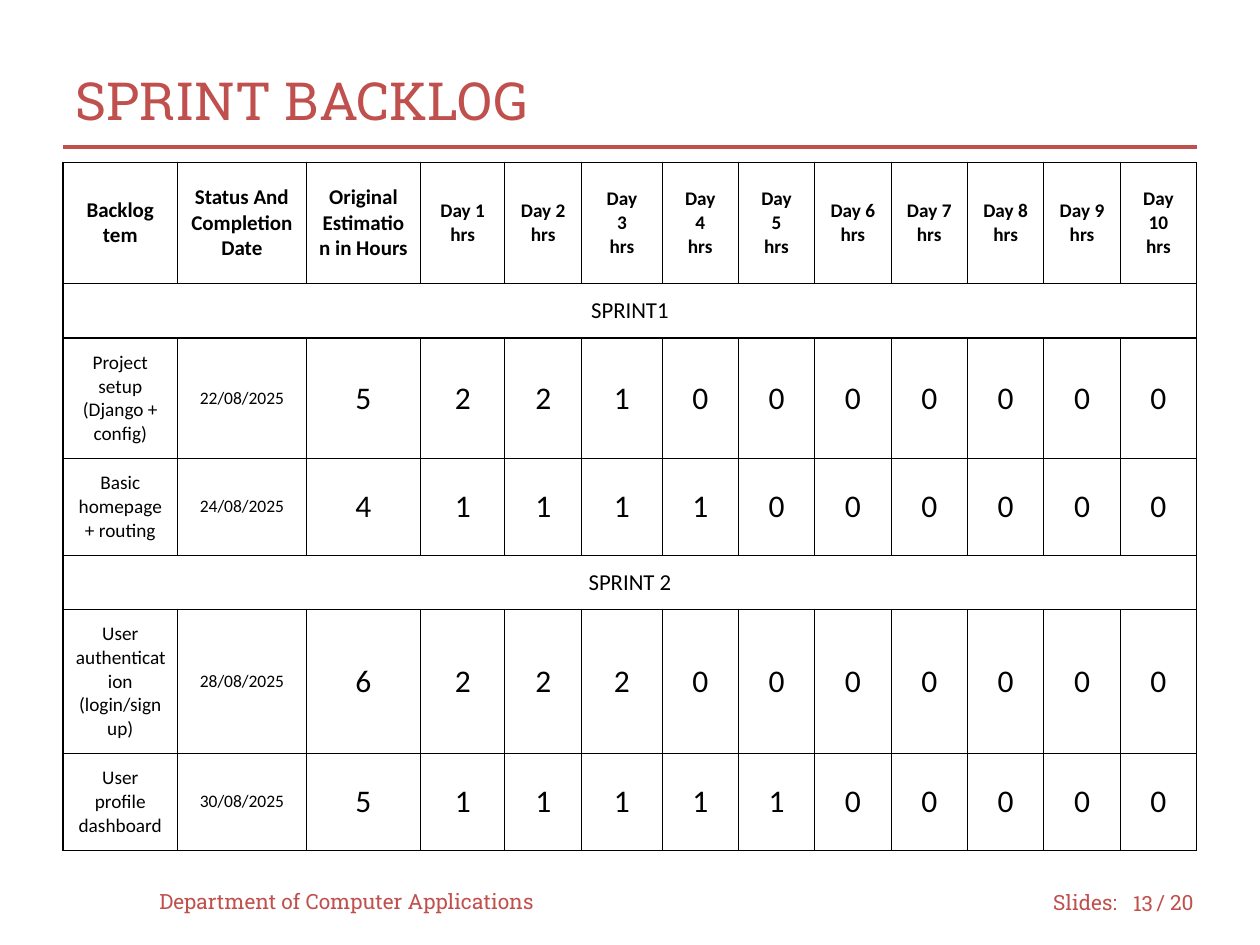
from dataclasses import dataclass

from lxml import etree
from pptx import Presentation
from pptx.dml.color import RGBColor
from pptx.enum.shapes import MSO_CONNECTOR
from pptx.enum.text import MSO_ANCHOR, MSO_AUTO_SIZE, PP_ALIGN
from pptx.oxml.ns import qn
from pptx.util import Pt

LEFT, CENTER, RIGHT = PP_ALIGN.LEFT, PP_ALIGN.CENTER, PP_ALIGN.RIGHT
MIDDLE = MSO_ANCHOR.MIDDLE
NO_AUTOFIT = MSO_AUTO_SIZE.NONE
STRAIGHT = MSO_CONNECTOR.STRAIGHT
TITLE_ONLY = 5


@dataclass(frozen=True)
class Theme:
    accent: str = "C0504D"
    ink: str = "000000"
    paper: str = "FFFFFF"
    display_font: str = "Roboto Slab"
    table_font: str = "Calibri"
    title_size: float = 30
    footer_size: float = 12
    heading_size: float = 12
    day_size: float = 11
    sprint_size: float = 13
    task_size: float = 11
    date_size: float = 10
    hours_size: float = 18
    rule_width: float = 1.75
    border_width: float = 0.75
    cell_margin: float = 7.2


class SlideBuilder:
    def __init__(self, slide, theme):
        self.slide = slide
        self.theme = theme

    def add_text(self, frame, text, size, font, color, align, bold=False):
        """Fill a text frame, one paragraph for each line of the text."""
        for index, line in enumerate(text.split("\n")):
            paragraph = frame.add_paragraph() if index else frame.paragraphs[0]
            paragraph.alignment = align
            run = paragraph.add_run()
            run.text = line
            run.font.size = Pt(size)
            run.font.name = font
            run.font.bold = bold
            run.font.color.rgb = RGBColor.from_string(color)

    def display_text(self, shape, text, size, align):
        frame = shape.text_frame
        frame.word_wrap = True
        frame.auto_size = NO_AUTOFIT
        frame.vertical_anchor = MIDDLE
        self.add_text(frame, text, size, self.theme.display_font, self.theme.accent, align)

    def title(self, text, left, top, width, height):
        title = self.slide.shapes.title
        title.left, title.top = Pt(left), Pt(top)
        title.width, title.height = Pt(width), Pt(height)
        self.display_text(title, text, self.theme.title_size, LEFT)

    def footer(self, text, left, top, width, height, align=LEFT):
        box = self.slide.shapes.add_textbox(Pt(left), Pt(top), Pt(width), Pt(height))
        self.display_text(box, text, self.theme.footer_size, align)

    def rule(self, left, right, y):
        line = self.slide.shapes.add_connector(STRAIGHT, Pt(left), Pt(y), Pt(right), Pt(y))
        line.line.color.rgb = RGBColor.from_string(self.theme.accent)
        line.line.width = Pt(self.theme.rule_width)
        etree.SubElement(line._element.spPr, qn("a:effectLst"))

    def table(self, left, top, widths, heights):
        frame = self.slide.shapes.add_table(
            len(heights), len(widths), Pt(left), Pt(top), Pt(sum(widths)), Pt(sum(heights)))
        table = frame.table
        table.first_row = table.horz_banding = False
        for column, width in zip(table.columns, widths):
            column.width = Pt(width)
        for row, height in zip(table.rows, heights):
            row.height = Pt(height)
        for cell in table.iter_cells():
            self.style_cell(cell)
        return table

    def style_cell(self, cell):
        properties = cell._tc.get_or_add_tcPr()
        for side in ("a:lnL", "a:lnR", "a:lnT", "a:lnB"):
            border = etree.SubElement(
                properties, qn(side), w=str(Pt(self.theme.border_width)))
            fill = etree.SubElement(border, qn("a:solidFill"))
            etree.SubElement(fill, qn("a:srgbClr"), val=self.theme.ink)
        cell.fill.solid()
        cell.fill.fore_color.rgb = RGBColor.from_string(self.theme.paper)
        cell.vertical_anchor = MIDDLE
        margin = Pt(self.theme.cell_margin)
        cell.margin_left = cell.margin_right = margin
        cell.margin_top = cell.margin_bottom = margin

    def cell_text(self, cell, text, size, bold=False):
        self.add_text(cell.text_frame, text, size, self.theme.table_font,
                      self.theme.ink, CENTER, bold)


HEADINGS = ["Backlog tem", "Status And Completion Date", "Original Estimation in Hours"]
SPLIT_DAYS = (3, 4, 5)
DAYS = [f"Day\n{day}\nhrs" if day in SPLIT_DAYS else f"Day {day}\nhrs"
        for day in range(1, 11)]

# A sprint heading is a plain string; a task is (name, date, estimate, hours worked).
BACKLOG = [
    "SPRINT1",
    ("Project setup (Django + config)", "22/08/2025", 5, [2, 2, 1]),
    ("Basic homepage + routing", "24/08/2025", 4, [1, 1, 1, 1]),
    "SPRINT 2",
    ("User authentication (login/signup)", "28/08/2025", 6, [2, 2, 2]),
    ("User profile dashboard", "30/08/2025", 5, [1, 1, 1, 1, 1]),
]

MARGIN, CONTENT_WIDTH = 36, 648
LEADING_WIDTHS = [65.5, 73.5, 65.5, 48, 44, 46, 43.5]
EVEN_COLUMNS = 6
ROW_HEIGHTS = [69.5, 31, 69, 55, 31, 82, 55]


def fill_backlog(builder, table):
    theme = builder.theme
    last = len(table.columns) - 1
    for column, text in enumerate(HEADINGS + DAYS):
        size = theme.heading_size if column < len(HEADINGS) else theme.day_size
        builder.cell_text(table.cell(0, column), text, size, bold=True)
    for row, entry in enumerate(BACKLOG, start=1):
        if isinstance(entry, str):
            sprint = table.cell(row, 0)
            sprint.merge(table.cell(row, last))
            builder.cell_text(sprint, entry, theme.sprint_size)
            continue
        task, date, estimate, worked = entry
        builder.cell_text(table.cell(row, 0), task, theme.task_size)
        builder.cell_text(table.cell(row, 1), date, theme.date_size)
        idle = [0] * (len(DAYS) - len(worked))
        for column, hours in enumerate([estimate] + worked + idle, start=2):
            builder.cell_text(table.cell(row, column), str(hours), theme.hours_size)


def main():
    deck = Presentation()
    deck.slide_width, deck.slide_height = Pt(720), Pt(540)
    slide = deck.slides.add_slide(deck.slide_layouts[TITLE_ONLY])
    builder = SlideBuilder(slide, Theme())

    builder.footer("Slides:", 594.7, 501, 54, 29)
    builder.footer("/ 20", 653.8, 501, 42, 29)
    builder.rule(MARGIN, MARGIN + CONTENT_WIDTH, 84)
    builder.title("SPRINT BACKLOG", MARGIN, 24, CONTENT_WIDTH, 66)
    builder.footer("Department of Computer Applications", 84, 500.5, 240, 29)
    builder.footer("13", 636, 501.8, 30, 29, RIGHT)

    even_width = (CONTENT_WIDTH - sum(LEADING_WIDTHS)) / EVEN_COLUMNS
    widths = LEADING_WIDTHS + [even_width] * EVEN_COLUMNS
    fill_backlog(builder, builder.table(MARGIN, 92.7, widths, ROW_HEIGHTS))

    deck.save("out.pptx")


if __name__ == "__main__":
    main()
